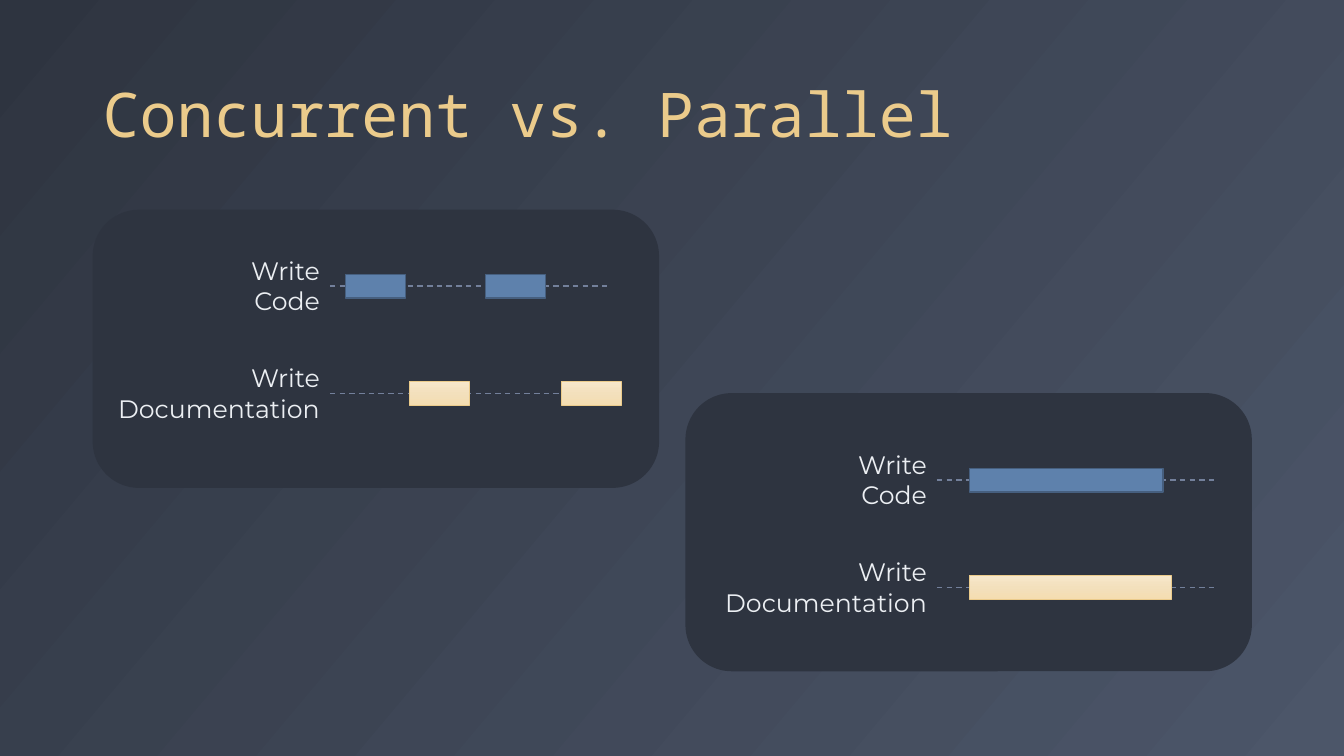
"""Build the slide that compares concurrent with parallel work on two timelines."""
import copy
from dataclasses import dataclass

import pptx
import pptx.dml.color
import pptx.dml.fill
import pptx.enum.dml
import pptx.enum.shapes
import pptx.enum.text
import pptx.oxml.xmlchemy
import pptx.slide
import pptx.util
from lxml import etree

Pt = pptx.util.Pt
RGBColor = pptx.dml.color.RGBColor
Shapes = pptx.enum.shapes.MSO_SHAPE
Align = pptx.enum.text.PP_ALIGN

NIGHT = RGBColor(0x2E, 0x34, 0x40)
SLATE = RGBColor(0x4C, 0x56, 0x69)
SNOW = RGBColor(0xEC, 0xEF, 0xF3)
GOLD = RGBColor(0xEB, 0xCB, 0x8B)
BLUE = RGBColor(0x5E, 0x81, 0xAC)
BLUE_EDGE = RGBColor(0x46, 0x5F, 0x7F)
TRACK = RGBColor(0x73, 0x80, 0x9B)
CREAM = [RGBColor(0xF7, 0xE7, 0xCB), RGBColor(0xF3, 0xE0, 0xBC), RGBColor(0xF4, 0xDD, 0xB1)]

PANEL_W, PANEL_H = 404.6, 198.7
TRACK_W = 198
LABEL_H = 51.1
BAR_H = 16.9
ROW_GAP = 76.6


@dataclass(frozen=True)
class Task:
    """A kind of work, with the look of its bars."""
    label: str
    label_w: float
    fill: list[RGBColor]
    edge: RGBColor
    edge_w: float


@dataclass(frozen=True)
class Bar:
    """A spell of work, placed from the start of its track."""
    x: float
    w: float


@dataclass(frozen=True)
class Panel:
    """A card with one track per task; track_x and track_y start the first track."""
    x: float
    y: float
    track_x: float
    track_y: float
    rows: list[list[Bar]]


TASKS = [
    Task("Write\nCode", 65.5, [BLUE], BLUE_EDGE, 1),
    Task("Write\nDocumentation", 159.8, CREAM, GOLD, 0.5),
]
PANELS = [
    Panel(66.2, 149.8, 235.6, 204.4,
          [[Bar(11.4, 42.7), Bar(111.4, 42.7)], [Bar(56.7, 42.7), Bar(165.4, 42.7)]]),
    Panel(489.6, 280.8, 669.2, 343,
          [[Bar(23.4, 138.2)], [Bar(23.4, 144.4)]]),
]


def set_gradient(fill: pptx.dml.fill.FillFormat, element: pptx.oxml.xmlchemy.BaseOxmlElement,
                 colors: list[RGBColor], angle: float) -> None:
    """Fill with evenly spaced colours, the angle running clockwise."""
    fill.gradient()
    fill.gradient_angle = 360 - angle
    stops = element.xpath(".//a:gsLst")[0]
    while len(stops) < len(colors):
        stops.append(copy.deepcopy(stops[0]))
    for i, (stop, color) in enumerate(zip(fill.gradient_stops, colors)):
        stop.position = i / (len(colors) - 1)
        stop.color.rgb = color


def add_panel(s: pptx.slide.Slide, panel: Panel) -> None:
    """Draw the rounded card."""
    sp = s.shapes.add_shape(Shapes.ROUNDED_RECTANGLE, Pt(panel.x), Pt(panel.y),
                            Pt(PANEL_W), Pt(PANEL_H))
    sp.shadow.inherit = False
    sp.fill.solid()
    sp.fill.fore_color.rgb = NIGHT
    sp.line.fill.background()


def add_label(s: pptx.slide.Slide, task: Task, right: float, y: float) -> None:
    """Write the task name so that it ends where its track starts."""
    sp = s.shapes.add_textbox(Pt(right - task.label_w), Pt(y - LABEL_H / 2),
                              Pt(task.label_w), Pt(LABEL_H))
    tf = sp.text_frame
    tf.text = task.label
    tf.word_wrap = False
    tf.auto_size = pptx.enum.text.MSO_AUTO_SIZE.SHAPE_TO_FIT_TEXT
    for p in tf.paragraphs:
        p.alignment = Align.RIGHT
        p.font.name = "Montserrat"
        p.font.size = Pt(18)
        p.font.color.rgb = SNOW


def add_track(s: pptx.slide.Slide, x: float, y: float) -> None:
    """Draw the dashed time line."""
    line = s.shapes.add_connector(pptx.enum.shapes.MSO_CONNECTOR.STRAIGHT,
                                  Pt(x), Pt(y), Pt(x + TRACK_W), Pt(y))
    line.line.color.rgb = TRACK
    line.line.width = Pt(1)
    line.line.dash_style = pptx.enum.dml.MSO_LINE.DASH
    etree.SubElement(line._element.spPr, pptx.oxml.ns.qn("a:effectLst"))


def add_bar(s: pptx.slide.Slide, task: Task, bar: Bar, x: float, y: float) -> None:
    """Draw a spell of work centred on its track."""
    sp = s.shapes.add_shape(Shapes.RECTANGLE, Pt(x + bar.x), Pt(y - BAR_H / 2),
                            Pt(bar.w), Pt(BAR_H))
    sp.shadow.inherit = False
    if len(task.fill) == 1:
        sp.fill.solid()
        sp.fill.fore_color.rgb = task.fill[0]
    else:
        set_gradient(sp.fill, sp._element, task.fill, 90)
    sp.line.color.rgb = task.edge
    sp.line.width = Pt(task.edge_w)


def add_title(s: pptx.slide.Slide, text: str) -> None:
    """Place and format the slide title."""
    sp = s.shapes.title
    sp.left, sp.top, sp.width, sp.height = Pt(66.2), Pt(13), Pt(828), Pt(98)
    tf = sp.text_frame
    tf.text = text
    tf.word_wrap = True
    tf.vertical_anchor = pptx.enum.text.MSO_ANCHOR.BOTTOM
    p = tf.paragraphs[0]
    p.alignment = Align.LEFT
    p.line_spacing = 0.9
    p.font.name = "Noto Sans Mono"
    p.font.size = Pt(44)
    p.font.color.rgb = GOLD


def main() -> None:
    """Build and save the slide."""
    prs = pptx.Presentation()
    prs.slide_width, prs.slide_height = Pt(960), Pt(540)
    s = prs.slides.add_slide(prs.slide_layouts.get_by_name("Title Only"))
    set_gradient(s.background.fill, s._element, [NIGHT, SLATE], 40)
    add_title(s, "Concurrent vs. Parallel")
    for panel in PANELS:
        add_panel(s, panel)
        for i, (task, bars) in enumerate(zip(TASKS, panel.rows)):
            y = panel.track_y + i * ROW_GAP
            add_label(s, task, panel.track_x, y)
            add_track(s, panel.track_x, y)
            for bar in bars:
                add_bar(s, task, bar, panel.track_x, y)
    prs.save("out.pptx")


main()
